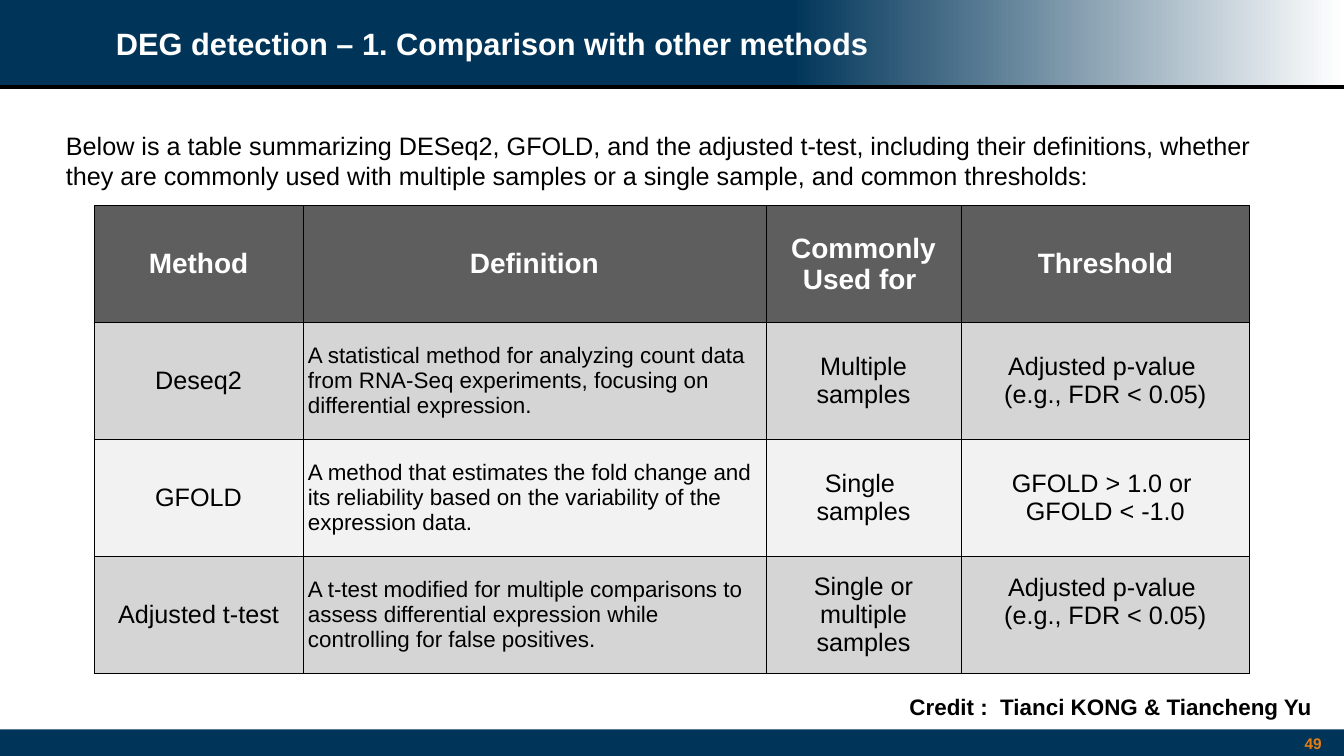
from lxml import etree
from pptx import Presentation
from pptx.dml.color import RGBColor
from pptx.enum.shapes import MSO_CONNECTOR as Connector, MSO_SHAPE as Shape
from pptx.enum.text import MSO_ANCHOR as Anchor, PP_ALIGN as Align
from pptx.oxml.ns import qn
from pptx.util import Inches, Pt

WIDTH, HEIGHT = 26.67, 15
NAVY, BLACK, WHITE, ORANGE = "003559", "000000", "FFFFFF", "E67D13"
HEADER_FILL, BAND_FILLS = "5E5E5E", ("D6D5D5", "F2F2F2")

TITLE = "DEG detection – 1. Comparison with other methods"
INTRO = (
    "Below is a table summarizing DESeq2, GFOLD, and the adjusted t-test, including their "
    "definitions, whether they are commonly used with multiple samples or a single sample, "
    "and common thresholds:"
)
CREDIT = "Credit :  Tianci KONG & Tiancheng Yu"
PAGE_NUMBER = "49"

P_VALUE = "Adjusted p-value \n(e.g., FDR < 0.05)"
ROWS = [
    ("Method", "Definition", "Commonly Used for ", "Threshold"),
    (
        "Deseq2",
        "A statistical method for analyzing count data from RNA-Seq experiments, "
        "focusing on differential expression.",
        "Multiple samples",
        P_VALUE,
    ),
    (
        "GFOLD",
        "A method that estimates the fold change and its reliability based on the "
        "variability of the expression data.",
        "Single \nsamples",
        "GFOLD > 1.0 or \nGFOLD < -1.0",
    ),
    (
        "Adjusted t-test",
        "A t-test modified for multiple comparisons to assess differential expression "
        "while controlling for false positives.",
        "Single or multiple samples",
        P_VALUE,
    ),
]
COLUMN_WIDTHS = (4.14, 9.19, 3.87, 5.73)
ROW_HEIGHT = 2.32
DEFINITION, THRESHOLD = 1, 3

HEADER_FORMAT = {"size": Pt(40), "bold": True}
BODY_FORMAT = {"size": Pt(36), "bold": False}
DEFINITION_FORMAT = {"size": Pt(32), "bold": False}


def rgb(value):
    return RGBColor.from_string(value)


def write(frame, text, font_format, color=BLACK, align=Align.LEFT):
    frame.text = text
    for paragraph in frame.paragraphs:
        paragraph.alignment = align
        for name, value in {"name": "Arial", **font_format}.items():
            setattr(paragraph.font, name, value)
        paragraph.font.color.rgb = rgb(color)


def add_bar(slide, box, color):
    bar = slide.shapes.add_shape(Shape.RECTANGLE, *map(Inches, box))
    bar.shadow.inherit = False
    bar.line.fill.background()
    bar.fill.solid()
    bar.fill.fore_color.rgb = rgb(color)
    return bar


def add_text(slide, box, text, font_format, color=BLACK, align=Align.LEFT, **frame_format):
    frame = slide.shapes.add_textbox(*map(Inches, box)).text_frame
    for name, value in {"word_wrap": True, **frame_format}.items():
        setattr(frame, name, value)
    write(frame, text, font_format, color, align)


def add_borders(cell):
    properties = cell._tc.get_or_add_tcPr()
    for index, side in enumerate(("a:lnL", "a:lnR", "a:lnT", "a:lnB")):
        border = etree.Element(qn(side), w=str(Pt(1)))
        fill = etree.SubElement(border, qn("a:solidFill"))
        etree.SubElement(fill, qn("a:srgbClr"), val=BLACK)
        properties.insert(index, border)


def add_banner(slide):
    fade = add_bar(slide, (15.67, 0, WIDTH - 15.67, 1.72), NAVY)
    fade.fill.gradient()
    fade.fill.gradient_angle = 180
    for stop, color in zip(fade.fill.gradient_stops, (WHITE, NAVY)):
        stop.color.rgb = rgb(color)
    add_bar(slide, (0, 0, 15.8, 1.72), NAVY)
    rule = slide.shapes.add_connector(
        Connector.STRAIGHT, 0, Inches(1.73), Inches(WIDTH), Inches(1.73)
    )
    rule.line.width = Pt(5)
    rule.line.color.rgb = rgb(BLACK)
    etree.SubElement(rule._element.spPr, qn("a:effectLst"))


def add_methods_table(slide):
    box = (1.87, 4.08, sum(COLUMN_WIDTHS), ROW_HEIGHT * len(ROWS))
    table = slide.shapes.add_table(len(ROWS), len(COLUMN_WIDTHS), *map(Inches, box)).table
    for column, width in zip(table.columns, COLUMN_WIDTHS):
        column.width = Inches(width)
    for row_index, row in enumerate(ROWS):
        table.rows[row_index].height = Inches(ROW_HEIGHT)
        for column_index, text in enumerate(row):
            cell = table.cell(row_index, column_index)
            cell.vertical_anchor = Anchor.MIDDLE
            cell.fill.solid()
            if row_index == 0:
                fill, style = HEADER_FILL, (HEADER_FORMAT, WHITE, Align.CENTER)
            else:
                fill = BAND_FILLS[(row_index - 1) % 2]
                style = (BODY_FORMAT, BLACK, Align.CENTER)
                if column_index == DEFINITION:
                    style = (DEFINITION_FORMAT, BLACK, Align.LEFT)
            cell.fill.fore_color.rgb = rgb(fill)
            write(cell.text_frame, text, *style)
            add_borders(cell)
    table.cell(len(ROWS) - 1, THRESHOLD).margin_bottom = Inches(0.57)


def main():
    presentation = Presentation()
    presentation.slide_width, presentation.slide_height = Inches(WIDTH), Inches(HEIGHT)
    slide = presentation.slides.add_slide(presentation.slide_layouts[6])

    add_banner(slide)
    add_bar(slide, (0, 14.47, WIDTH, HEIGHT - 14.47), NAVY)
    margins = {f"margin_{side}": Inches(0.08) for side in ("left", "top", "right", "bottom")}
    add_text(slide, (2.22, 0, 22.22, 1.72), TITLE, {"size": Pt(44), "bold": True},
             WHITE, vertical_anchor=Anchor.MIDDLE, **margins)
    add_text(slide, (25.71, 14.49, 0.7, 0.51), PAGE_NUMBER, {"size": Pt(22), "bold": True},
             ORANGE, Align.CENTER, **margins)
    add_text(slide, (1.21, 2.54, 24.24, 1.31), INTRO, {"size": Pt(36)})
    add_text(slide, (17.84, 13.71, 8.4, 0.64), CREDIT, {"size": Pt(32), "bold": True},
             align=Align.CENTER)
    add_methods_table(slide)
    presentation.save("out.pptx")


if __name__ == "__main__":
    main()
